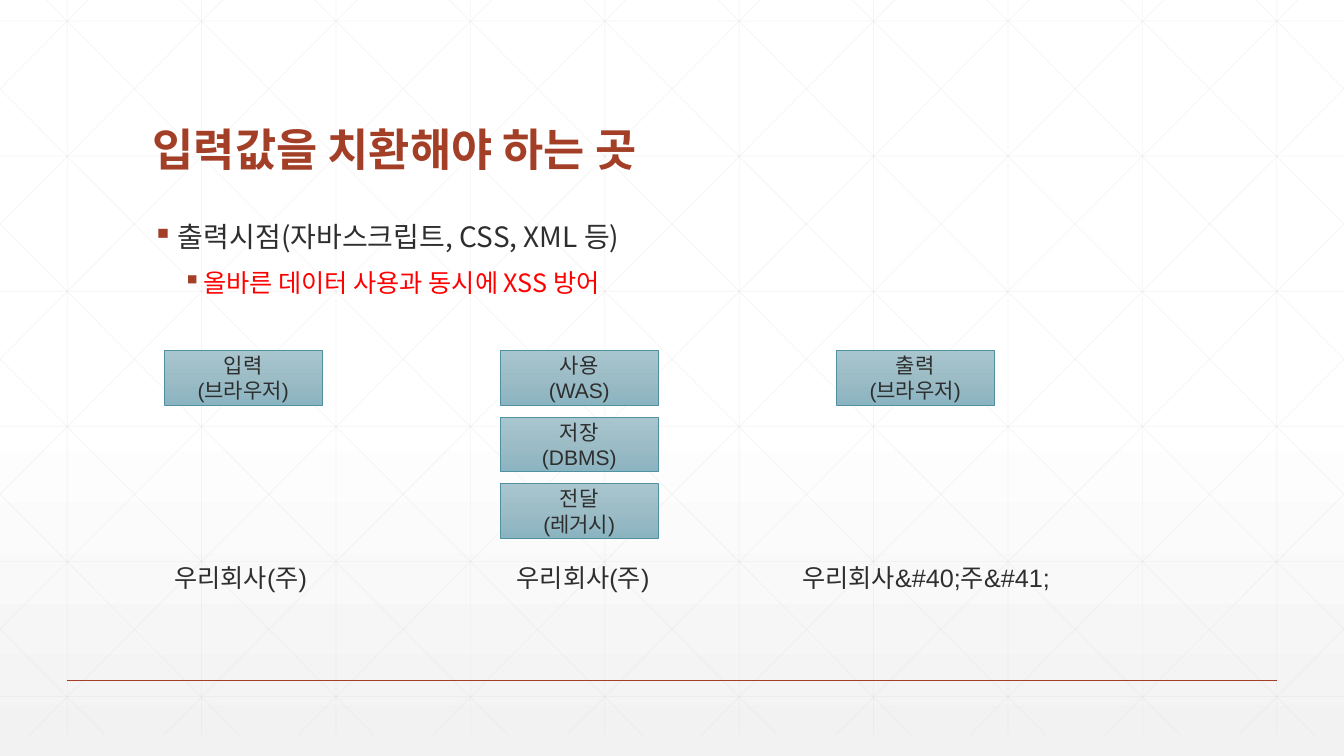
import copy

import lxml.etree
import pptx
import pptx.dml.color
import pptx.enum.shapes
import pptx.enum.text
import pptx.oxml
import pptx.oxml.ns
import pptx.util

Pt = pptx.util.Pt
qn = pptx.oxml.ns.qn
SubElement = lxml.etree.SubElement
ANCHOR = pptx.enum.text.MSO_ANCHOR
INK, RUST = "2D2E2D", "A43F27"
CJK = "Noto Sans CJK KR"
W, H = 960, 540


def rgb(color):
    return pptx.dml.color.RGBColor.from_string(color)


def set_gradient(fill, element, stops):
    """Fill top to bottom with three (position, colour) stops."""
    fill.gradient()
    fill.gradient_angle = 270
    gs_list = element.xpath(".//a:gsLst")[0]
    gs_list.append(copy.deepcopy(gs_list[0]))
    for stop, (position, color) in zip(fill.gradient_stops, stops):
        stop.position = position
        stop.color.rgb = rgb(color)


prs = pptx.Presentation()
prs.slide_width, prs.slide_height = Pt(W), Pt(H)
slide = prs.slides.add_slide(prs.slide_layouts[6])
set_gradient(slide.background.fill, slide._element,
             [(0, "FFFFFF"), (0.53, "FFFFFF"), (1, "F2F2F2")])

# Background grid: (x1, y1, x2, y2), diagonals cut at the slide's sides
top, bottom, step, run = -15, 525, 96, 537
grid = [(48 + step * i, top, 48 + step * i, bottom) for i in range(10)]
grid += [(0, 15 + 96.5 * i, W, 15 + 96.5 * i) for i in range(6)]
slope = (bottom - top) / run
for i in range(-5, 10):
    x = 18 + step * i
    x1, x2 = max(x, 0), min(x + run, W)
    y1, y2 = top + (x1 - x) * slope, top + (x2 - x) * slope
    grid += [(x1, y1, x2, y2), (W - x1, y1, W - x2, y2)]

rule = (48, 486, 912, 486)
for ends in grid + [rule]:
    line = slide.shapes.add_connector(
        pptx.enum.shapes.MSO_CONNECTOR.STRAIGHT, *[Pt(v) for v in ends])
    line.line.width = Pt(1 if ends == rule else 0.5)
    line.line.color.rgb = rgb(RUST if ends == rule else "D9D9D9")
    if ends != rule:
        color = line._element.xpath(".//a:ln//a:srgbClr")[0]
        SubElement(color, qn("a:alpha"), val="25000")
    SubElement(line._element.spPr, qn("a:effectLst"))


def write(s, text, size, color=INK, font="Arial", bold=False):
    """Set the text and return its paragraphs."""
    tf = s.text_frame
    tf.word_wrap = True
    tf.text = text
    for p in tf.paragraphs:
        for r in p.runs:
            r.font.size, r.font.bold = Pt(size), bold
            r.font.name = font
            r.font.color.rgb = rgb(color)
            SubElement(r._r.get_or_add_rPr(), qn("a:ea"), typeface=CJK)
    return tf.paragraphs


title = slide.shapes.add_textbox(Pt(102), Pt(39.6), Pt(756), Pt(90))
title.text_frame.vertical_anchor = ANCHOR.BOTTOM
write(title, "입력값을 치환해야 하는 곳", 32, RUST, CJK, True)[0].line_spacing = 0.9

body = slide.shapes.add_textbox(Pt(102), Pt(156), Pt(756), Pt(300))
points = write(body, "출력시점(자바스크립트, CSS, XML 등)\n"
               "올바른 데이터 사용과 동시에 XSS 방어", 20, INK, CJK)
for p, left, hanging in zip(points, (18, 36), (18, 14.4)):
    p.line_spacing = 0.9
    pPr = p._p.get_or_add_pPr()
    pPr.set("marL", str(Pt(left)))
    pPr.set("indent", str(-Pt(hanging)))
    SubElement(SubElement(pPr, qn("a:buClr")), qn("a:srgbClr"), val=RUST)
    SubElement(pPr, qn("a:buChar"), char="▪")
points[1].level = 1
points[1].space_before = Pt(12)
points[1].runs[0].font.size = Pt(18)
points[1].runs[0].font.color.rgb = rgb("FF0000")

# Stages: (column, row, text)
stages = [(0, 0, "입력\n(브라우저)"), (1, 0, "사용\n(WAS)"), (2, 0, "출력\n(브라우저)"),
          (1, 1, "저장\n(DBMS)"), (1, 2, "전달\n(레거시)")]
for column, row, text in stages:
    s = slide.shapes.add_shape(
        pptx.enum.shapes.MSO_SHAPE.RECTANGLE, Pt(117.5 + 240 * column),
        Pt(250.4 + 47.6 * row), Pt(112.5), Pt(39))
    s.shadow.inherit = False
    set_gradient(s.fill, s._element,
                 [(0, "A9C6CF"), (0.5, "9CBCC6"), (1, "8AB4C0")])
    s.line.color.rgb = rgb("4F91A1")
    s.line.width = Pt(0.5)
    s.text_frame.vertical_anchor = ANCHOR.MIDDLE
    for p in write(s, text, 15):
        p.alignment = pptx.enum.text.PP_ALIGN.CENTER

values = [(117.5, 117.5, "우리회사(주)"), (362, 117.5, "우리회사(주)"),
          (566, 200, "우리회사&#40;주&#41;")]
for left, width, text in values:
    s = slide.shapes.add_textbox(Pt(left), Pt(398), Pt(width), Pt(29))
    write(s, text, 18)

prs.save("out.pptx")
